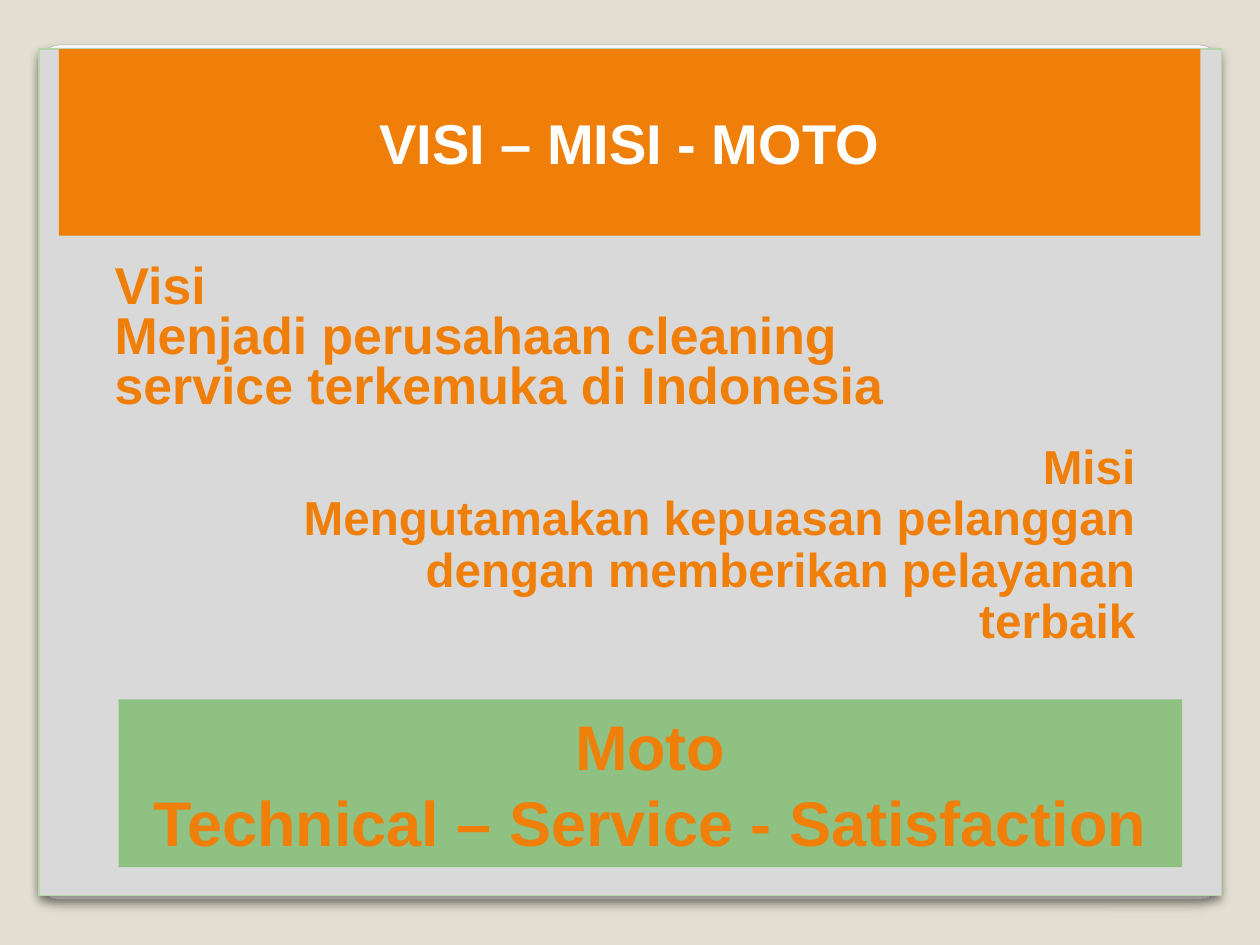
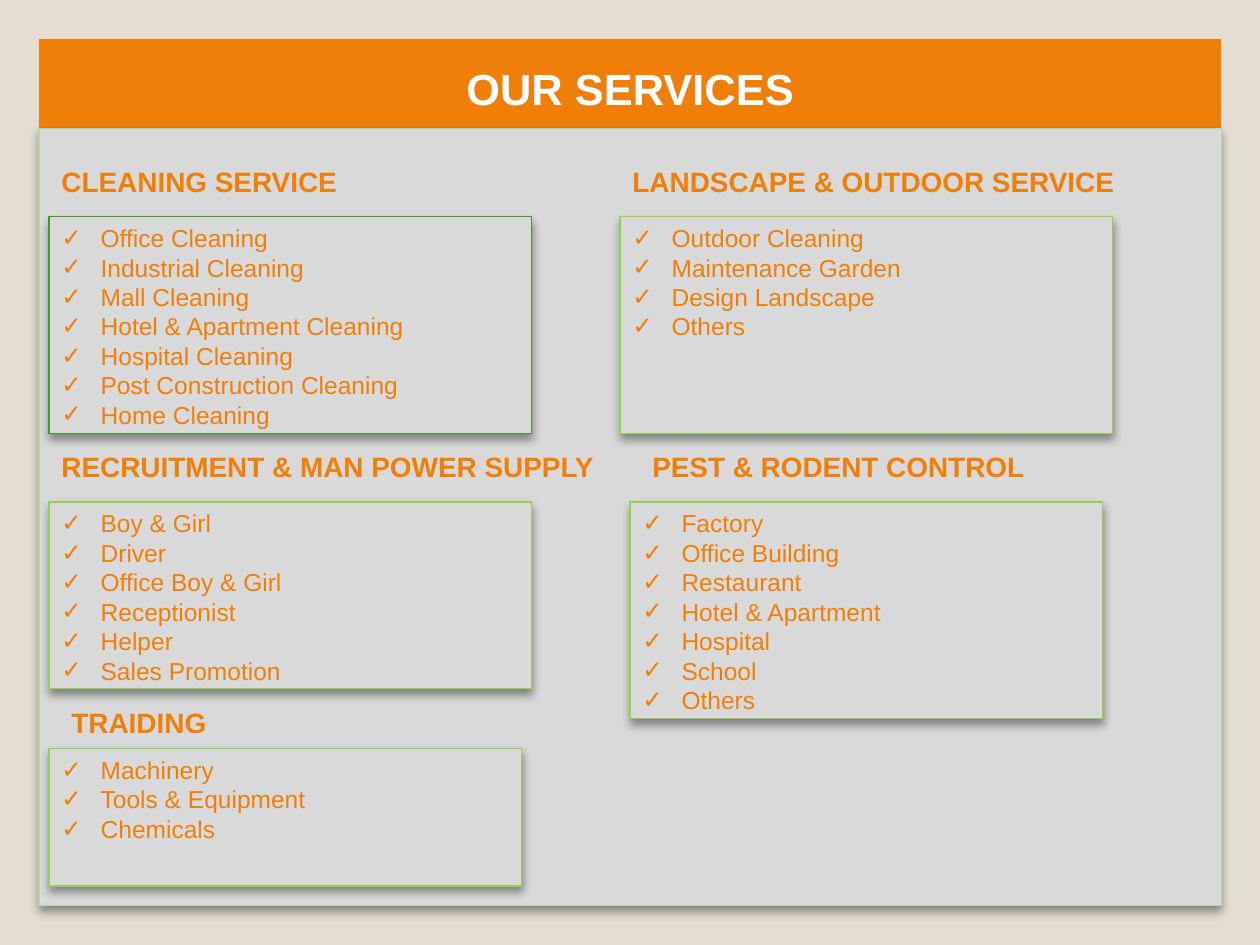
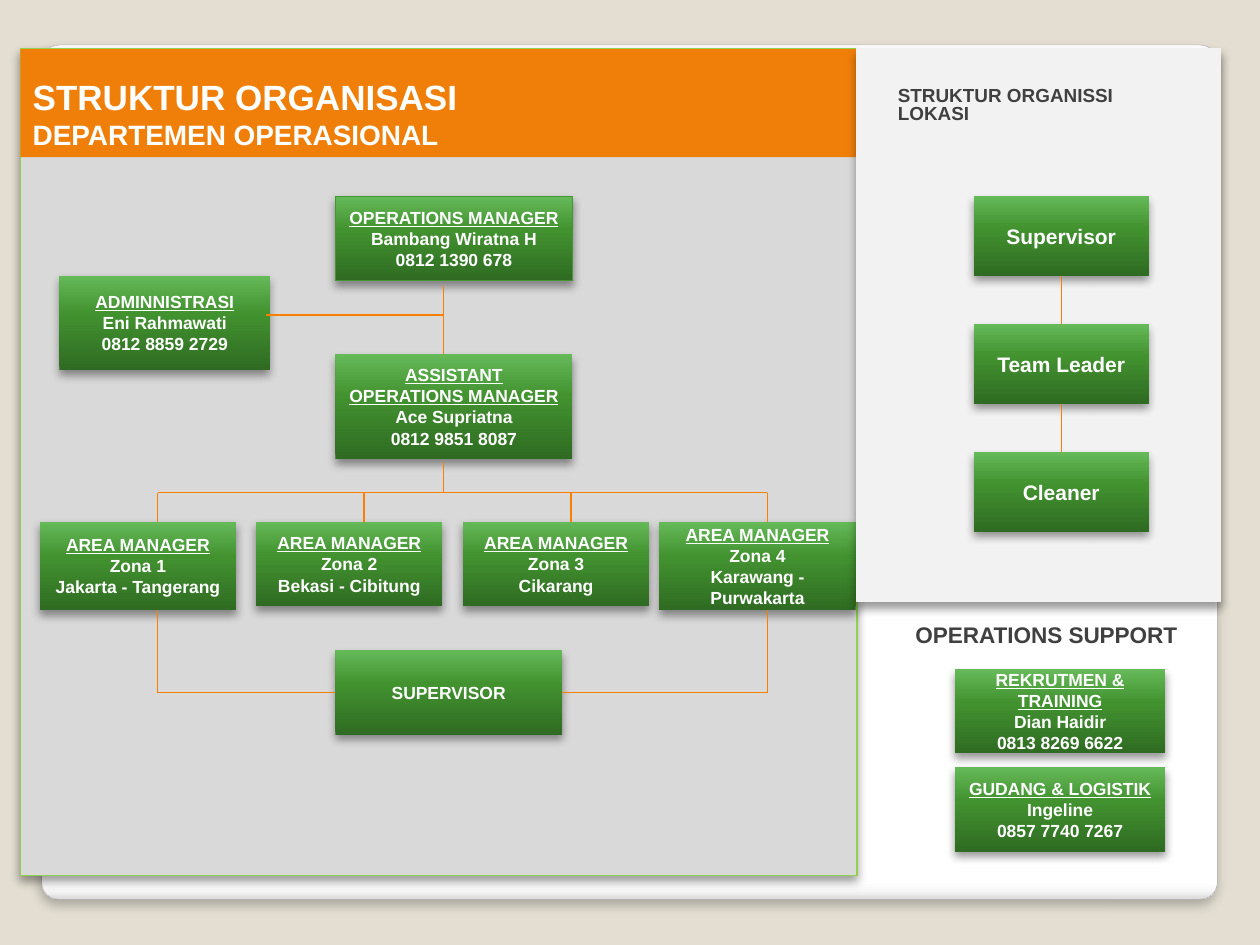
from collections import namedtuple

from lxml import etree
from pptx import Presentation
from pptx import util as u
from pptx.dml.color import RGBColor
from pptx.enum import shapes, text
from pptx.oxml import ns

FONT = "Arial"
COLOURS = {
    "backdrop": "E3DED1", "panel": "D9D9D9", "side": "F2F2F2",
    "orange": "F07F09", "link": "F97F00", "white": "FFFFFF", "dark": "404040",
    "moto": "8EC182", "pale_edge": "B3D6AC", "lime": "92D050",
    "green": "439631", "card_edge": "A4A4A4",
}
STAFF_STOPS = [(0, "2F6B22"), (60, "429230"), (100, "66B959")]
CARD_STOPS = [(0, "FFFFFF"), (98, "FFFFFF"), (99, "F7F7F7"), (100, "DADADA")]
LEFT, CENTRE, RIGHT = (text.PP_ALIGN.LEFT, text.PP_ALIGN.CENTER,
                       text.PP_ALIGN.RIGHT)
TOP, MIDDLE, BOTTOM = (text.MSO_ANCHOR.TOP, text.MSO_ANCHOR.MIDDLE,
                       text.MSO_ANCHOR.BOTTOM)


class Box(namedtuple("Box", "x y w h")):
    """A region in centimetres."""

    def inner(self, x, y, w, h):
        return Box(self.x + x, self.y + y, w, h)

    def lengths(self):
        return [u.Cm(value) for value in self]


def colour(name):
    return RGBColor.from_string(COLOURS[name])


def add_xml(parent, tag, **attributes):
    values = {key: str(value) for key, value in attributes.items()}
    return etree.SubElement(parent, ns.qn(tag), values)


# Shared drawing helpers
def add_shadow(shape, opacity=40, blur=5.2, distance=3):
    effects = shape._element.spPr.find(ns.qn("a:effectLst"))
    shade = add_xml(effects, "a:outerShdw", blurRad=u.Pt(blur),
                    dist=u.Pt(distance), dir=5400000, rotWithShape=0)
    tint = add_xml(shade, "a:srgbClr", val="000000")
    add_xml(tint, "a:alpha", val=opacity * 1000)


def fill_gradient(shape, stops, angle):
    shape.fill.gradient()
    shape.fill.gradient_angle = angle
    stop_list = shape._element.spPr.find(".//" + ns.qn("a:gsLst"))
    for stop in list(stop_list):
        stop_list.remove(stop)
    for position, shade in stops:
        stop = add_xml(stop_list, "a:gs", pos=position * 1000)
        add_xml(stop, "a:srgbClr", val=shade)


def add_block(page, box, fill=None, edge=None, width=0.75, shadow=False,
              kind=shapes.MSO_SHAPE.RECTANGLE):
    shape = page.shapes.add_shape(kind, *box.lengths())
    shape.shadow.inherit = False
    if fill:
        shape.fill.solid()
        shape.fill.fore_color.rgb = colour(fill)
    if edge:
        shape.line.color.rgb = colour(edge)
        shape.line.width = u.Pt(width)
    else:
        shape.line.fill.background()
    if shadow:
        add_shadow(shape)
    return shape


def add_bullet(para):
    properties = para._p.get_or_add_pPr()
    properties.set("marL", str(u.Cm(0.79)))
    properties.set("indent", str(-u.Cm(0.79)))
    add_xml(properties, "a:buFont", typeface=FONT)
    add_xml(properties, "a:buChar", char="✓")


def write(shape, lines, size, shade, bold=True, align=LEFT, anchor=MIDDLE,
          spacing=None, inset=0.25, underlined=False, bullets=False):
    """Write one paragraph a line; a line may be (words, size)."""
    frame = shape.text_frame
    frame.word_wrap = True
    frame.vertical_anchor = anchor
    frame.margin_left = frame.margin_right = u.Cm(inset)
    frame.margin_top = frame.margin_bottom = u.Cm(0.13)
    for index, line in enumerate(lines):
        words, points = line if isinstance(line, tuple) else (line, size)
        para = frame.add_paragraph() if index else frame.paragraphs[0]
        para.alignment = align
        if spacing:
            para.line_spacing = spacing
        if bullets:
            add_bullet(para)
        span = para.add_run()
        span.text = words
        span.font.name = FONT
        span.font.size = u.Pt(points)
        span.font.bold = bold
        span.font.color.rgb = colour(shade)
        if underlined and index == 0:
            span.font.underline = True


def add_words(page, box, lines, size, shade, **style):
    write(page.shapes.add_textbox(*box.lengths()), lines, size, shade, **style)


def add_banner(page, box, lines, size, **style):
    write(add_block(page, box, "orange"), lines, size, "white", **style)


def add_card(page):
    card = add_block(page, Box(0.84, 0.91, 23.7, 17.22), edge="card_edge",
                     width=0.16, kind=shapes.MSO_SHAPE.ROUNDED_RECTANGLE)
    card.adjustments[0] = 0.02
    fill_gradient(card, CARD_STOPS, 270)
    add_shadow(card, 25, 6, 4)


def add_line(page, box, start, end, begin=None, finish=None):
    """Draw a line between two points of the box, joined where sites are given."""
    ends = [u.Cm(value) for value in (box.x + start[0], box.y + start[1],
                                      box.x + end[0], box.y + end[1])]
    line = page.shapes.add_connector(shapes.MSO_CONNECTOR.STRAIGHT, *ends)
    line.line.color.rgb = colour("link")
    line.line.width = u.Pt(0.75)
    add_xml(line._element.spPr, "a:effectLst")
    if begin:
        line.begin_connect(*begin)
    if finish:
        line.end_connect(*finish)


def add_staff(page, box, lines, size=10, edge=None):
    block = add_block(page, box, edge=edge)
    fill_gradient(block, STAFF_STOPS, 90)
    add_shadow(block)
    write(block, lines, size, "white", align=CENTRE,
          underlined=len(lines) > 1)
    return block


# Slide 1: vision, mission and motto
def vision_slide(page, box):
    add_card(page)
    add_block(page, box, "panel", "pale_edge", shadow=True)
    add_banner(page, box.inner(0.4, 0, 23.01, 3.76), ["VISI – MISI - MOTO"], 32,
               align=CENTRE, inset=0.13)
    add_words(page, box.inner(1.39, 4.17, 17.86, 3.38),
              ["Visi", "Menjadi perusahaan cleaning service terkemuka di Indonesia"],
              29.6, "orange", spacing=0.8, inset=0.13)
    add_words(page, box.inner(4.37, 8.33, 17.86, 3.38),
              ["Misi", "Mengutamakan kepuasan pelanggan dengan memberikan "
                       "pelayanan terbaik"],
              27.2, "orange", spacing=0.9, align=RIGHT, inset=0.13)
    moto = add_block(page, box.inner(1.6, 13.11, 21.44, 3.38), "moto")
    write(moto, ["Moto", "Technical – Service - Satisfaction"], 36, "orange",
          align=CENTRE, inset=0.13)


# Slide 2: service lists
def service_list(page, box, heading, items, edge="lime", rise=1.18, shift=0):
    block = add_block(page, box, "panel", edge, shadow=True)
    write(block, items, 14, "orange", bold=False, anchor=TOP, bullets=True)
    add_words(page, box.inner(shift, -rise, 11.5, 0.94), [heading], 16,
              "orange", anchor=TOP)


def services_slide(page, box):
    add_banner(page, box.inner(0, 0, box.w, 1.98), ["OUR SERVICES"], 24.8,
               align=CENTRE, inset=0.13)
    body = box.inner(0, 1.8, box.w, 15.67)
    add_block(page, body, "panel", "pale_edge", shadow=True)
    service_list(page, body.inner(0.2, 1.78, 9.73, 4.37), "CLEANING SERVICE",
                 ["Office Cleaning", "Industrial Cleaning", "Mall Cleaning",
                  "Hotel & Apartment Cleaning", "Hospital Cleaning",
                  "Post Construction Cleaning", "Home Cleaning"], edge="green")
    service_list(page, body.inner(11.71, 1.78, 9.93, 4.37),
                 "LANDSCAPE & OUTDOOR SERVICE",
                 ["Outdoor Cleaning", "Maintenance Garden", "Design Landscape",
                  "Others"])
    service_list(page, body.inner(0.2, 7.53, 9.73, 3.76),
                 "RECRUITMENT & MAN POWER SUPPLY",
                 ["Boy & Girl", "Driver", "Office Boy & Girl", "Receptionist",
                  "Helper", "Sales Promotion"])
    service_list(page, body.inner(11.91, 7.53, 9.53, 4.37),
                 "PEST & RODENT CONTROL",
                 ["Factory", "Office Building", "Restaurant",
                  "Hotel & Apartment", "Hospital", "School", "Others"],
                 shift=0.2)
    service_list(page, body.inner(0.2, 12.5, 9.53, 2.77), "TRAIDING",
                 ["Machinery", "Tools & Equipment", "Chemicals"],
                 rise=0.99, shift=0.2)


# Slide 3: organisation charts
def department_chart(page, box):
    add_block(page, box, "panel", "lime", shadow=True)
    add_banner(page, box.inner(0, 0, box.w, 2.18),
               ["STRUKTUR ORGANISASI", ("DEPARTEMEN OPERASIONAL", 16)], 20,
               anchor=BOTTOM)

    # Managers
    add_staff(page, box.inner(6.35, 2.97, 4.78, 1.7),
              ["OPERATIONS MANAGER", "Bambang Wiratna H", "0812 1390 678"],
              edge="green")
    add_staff(page, box.inner(0.79, 4.57, 4.24, 1.9),
              ["ADMINNISTRASI", "Eni Rahmawati", "0812 8859 2729"])
    add_staff(page, box.inner(6.35, 6.15, 4.78, 2.11),
              ["ASSISTANT OPERATIONS MANAGER", "Ace Supriatna",
               "0812 9851 8087"])

    # Areas: left, width, height, drop line, zone, place
    area_top, bus = 9.53, 8.94
    areas = [(0.39, 3.96, 1.78, 2.77, "Zona 1", "Jakarta - Tangerang"),
             (4.75, 3.76, 1.7, 6.93, "Zona 2", "Bekasi - Cibitung"),
             (8.92, 3.76, 1.7, 11.1, "Zona 3", "Cikarang"),
             (12.88, 3.96, 1.78, 15.06, "Zona 4", "Karawang - Purwakarta")]
    for left, width, height, drop, zone, place in areas:
        add_staff(page, box.inner(left, area_top, width, height),
                  ["AREA MANAGER", zone, place])
        add_line(page, box, (drop, bus), (drop, area_top))
    supervisor = add_staff(page, box.inner(6.35, 12.12, 4.57, 1.7),
                           ["SUPERVISOR"])

    # Links
    spine, first, last, arm = 8.53, areas[0][3], areas[-1][3], 12.97
    add_line(page, box, (spine, 4.78), (spine, 6.15))
    add_line(page, box, (4.95, 5.36), (spine, 5.36))
    add_line(page, box, (spine, 8.33), (spine, bus))
    add_line(page, box, (first, bus), (last, bus))
    for drop, side, site in ((first, 6.35, 1), (last, 10.92, 3)):
        add_line(page, box, (drop, 11.31), (drop, arm))
        add_line(page, box, (drop, arm), (side, arm),
                 finish=(supervisor, site))


def site_chart(page, box):
    add_block(page, box, "side", "side", shadow=True)
    add_words(page, box.inner(0.58, 0.58, 5.92, 1.07),
              ["STRUKTUR ORGANISSI", "LOKASI"], 10.8, "dark",
              anchor=BOTTOM, spacing=0.8)
    above = None
    for row, role in enumerate(["Supervisor", "Team Leader", "Cleaner"]):
        top = 2.97 + row * 2.58
        block = add_staff(page, box.inner(2.36, top, 3.53, 1.6), [role], 12)
        if above:
            add_line(page, box, (4.13, top - 0.98), (4.13, top),
                     (above, 2), (block, 0))
        above = block


def support_team(page, box):
    add_words(page, box.inner(0, 0, box.w, 1.07), ["OPERATIONS SUPPORT"], 12.9,
              "dark", align=RIGHT, anchor=BOTTOM)
    team = [["REKRUTMEN & TRAINING", "Dian Haidir", "0813 8269 6622"],
            ["GUDANG & LOGISTIK", "Ingeline", "0857 7740 7267"]]
    for row, lines in enumerate(team):
        add_staff(page, box.inner(1.19, 1.37 + row * 1.98, 4.24, 1.7), lines)


def organisation_slide(page):
    add_card(page)
    department_chart(page, Box(0.41, 0.99, 16.87, 16.66))
    site_chart(page, Box(17.27, 0.99, 7.34, 11.13))
    support_team(page, Box(18.06, 12.12, 5.92, 5.05))


def main():
    deck = Presentation()
    deck.slide_width, deck.slide_height = u.Cm(25.4), u.Cm(19.05)
    backdrop = deck.slide_master.background.fill
    backdrop.solid()
    backdrop.fore_color.rgb = colour("backdrop")
    pages = [deck.slides.add_slide(deck.slide_layouts[6]) for _ in range(3)]
    vision_slide(pages[0], Box(0.79, 0.99, 23.83, 17.07))
    services_slide(pages[1], Box(0.79, 0.79, 23.83, 17.47))
    organisation_slide(pages[2])
    deck.save("out.pptx")


if __name__ == "__main__":
    main()
